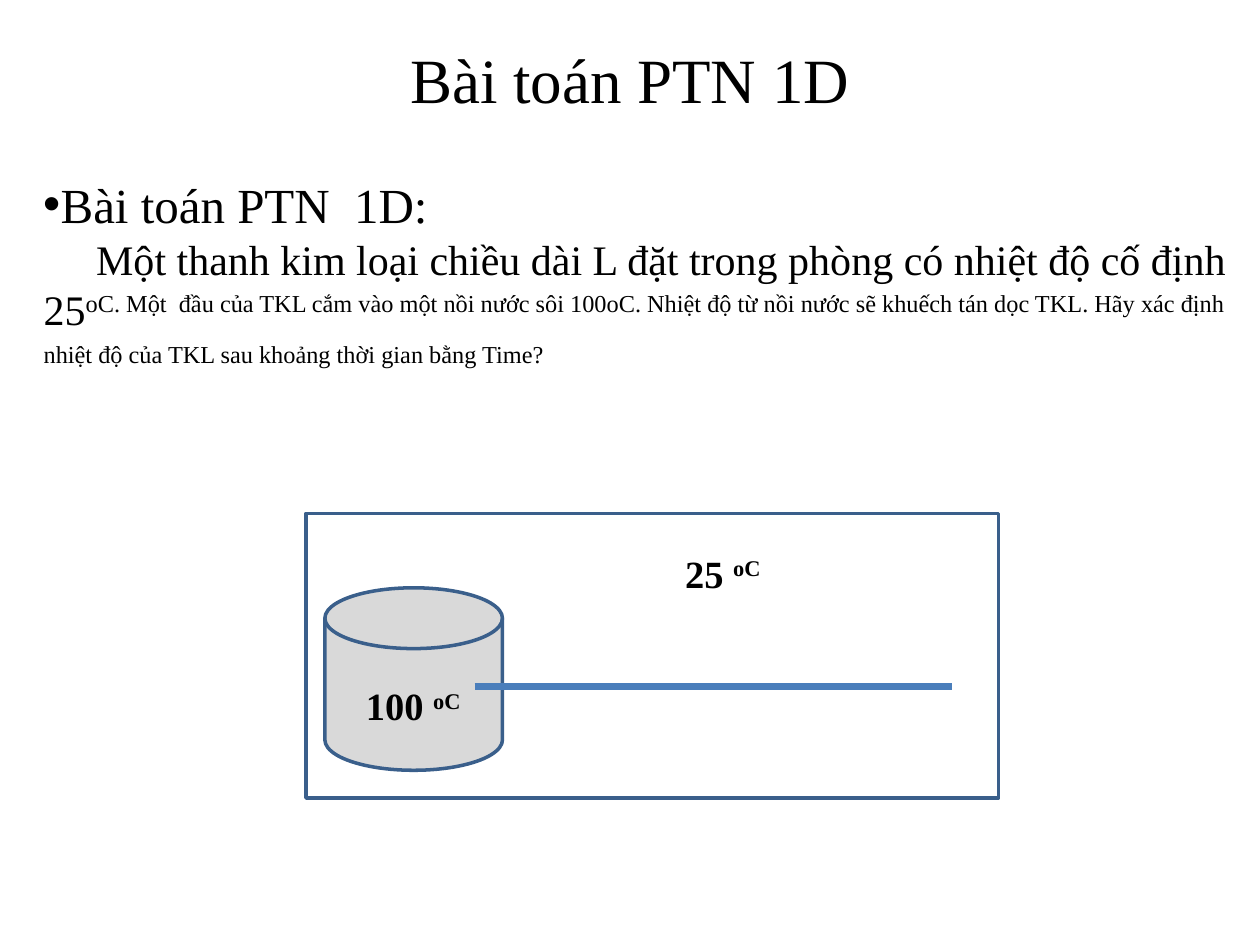
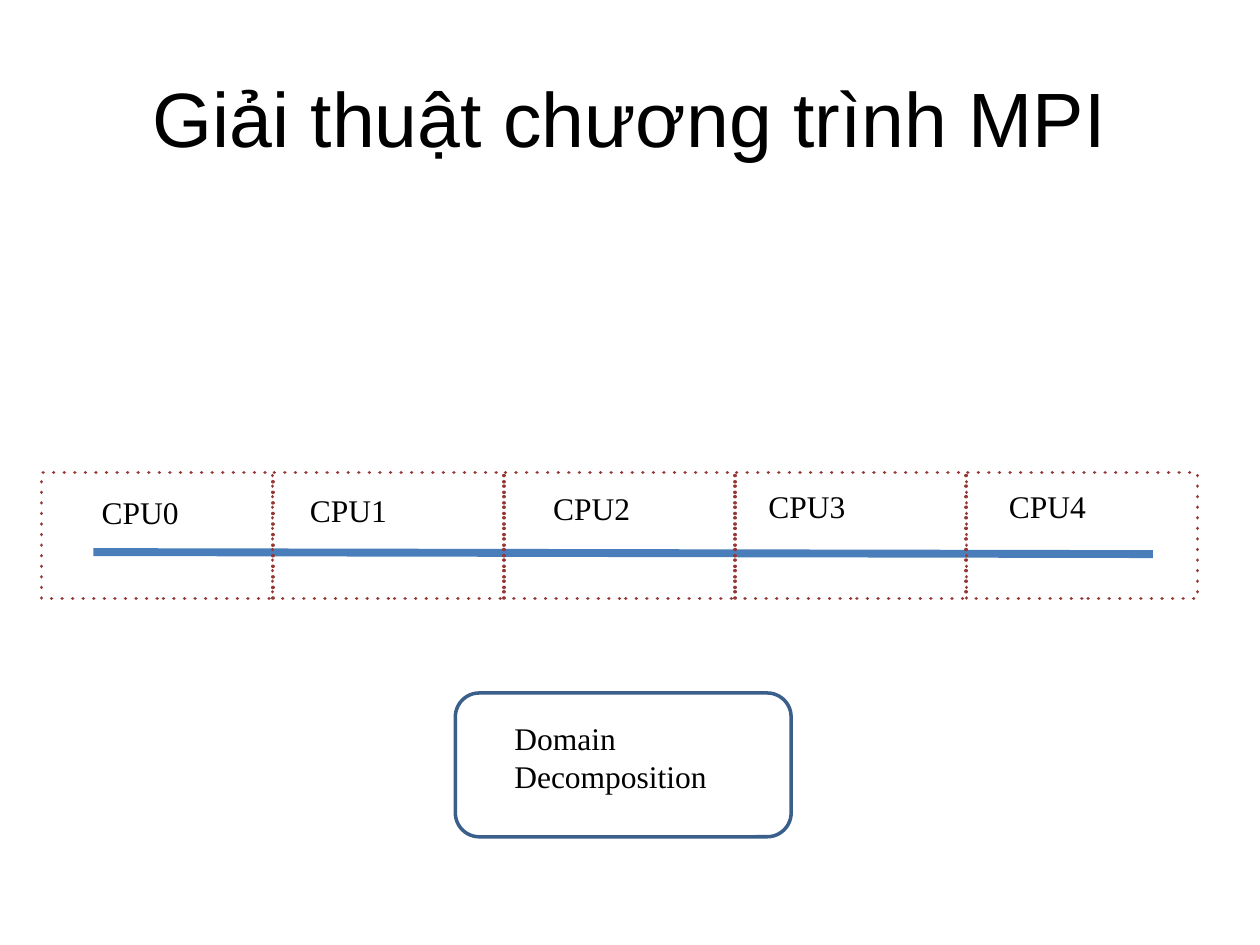
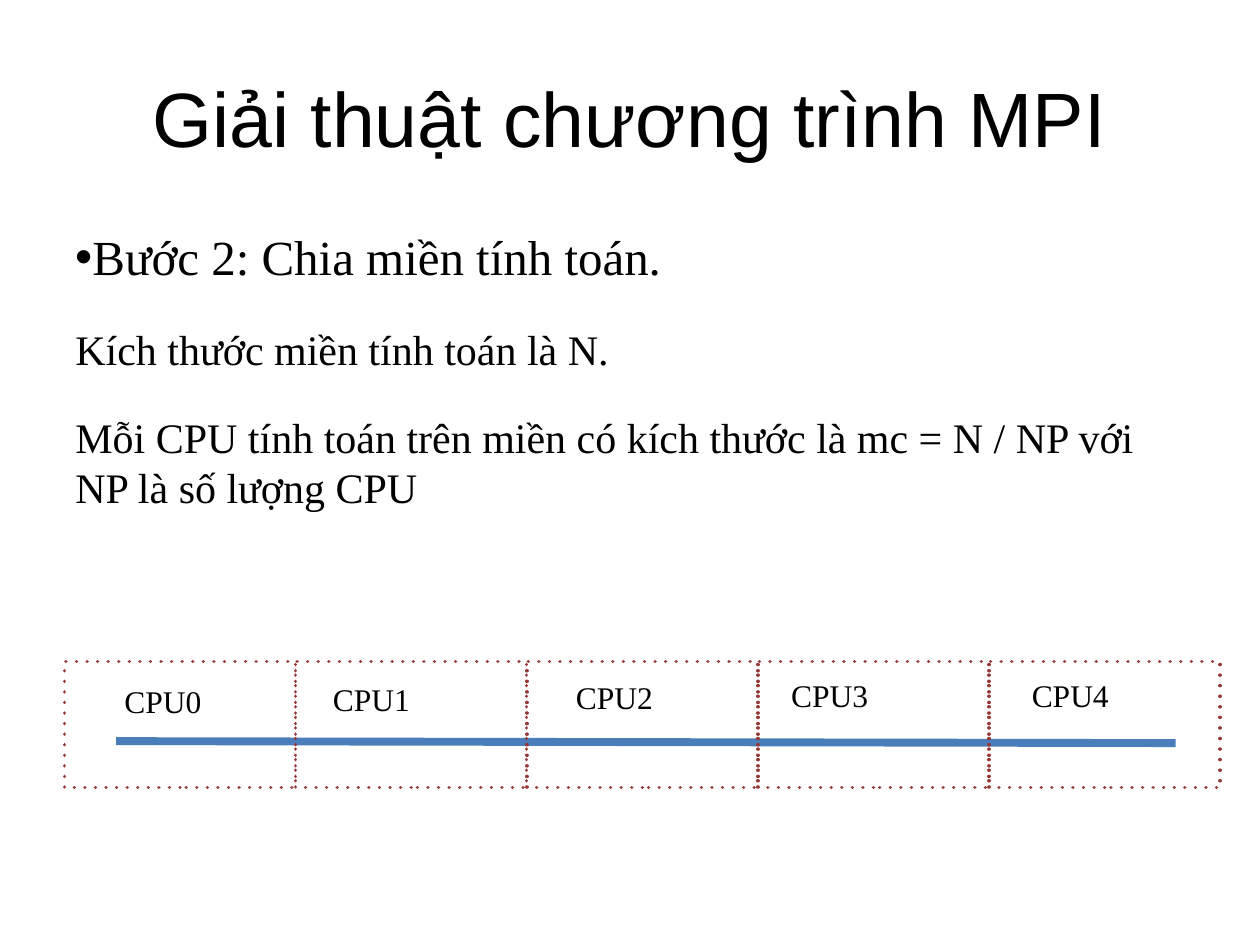
from dataclasses import dataclass
from typing import Optional

import pptx
import pptx.dml.color
import pptx.enum.shapes
import pptx.enum.text
import pptx.oxml.ns
import pptx.util
from lxml import etree
from pptx.util import Cm

RGBColor = pptx.dml.color.RGBColor
Shape = pptx.enum.shapes.MSO_SHAPE
Align = pptx.enum.text.PP_ALIGN
Anchor = pptx.enum.text.MSO_ANCHOR
qn = pptx.oxml.ns.qn

# Shared style
BLACK = RGBColor(0x00, 0x00, 0x00)
GREY = RGBColor(0xD9, 0xD9, 0xD9)
DARK_BLUE = RGBColor(0x3A, 0x5F, 0x8B)
ROD_BLUE = RGBColor(0x4A, 0x7E, 0xBB)
DARK_RED = RGBColor(0x95, 0x37, 0x35)
SERIF = "Times New Roman"
SANS = "Arial"
OUTLINE_WIDTH = 2
MPI_TITLE = "Giải thuật chương trình MPI"


@dataclass(frozen=True)
class Box:
    """A place on the slide, in centimetres."""
    left: float
    top: float
    width: float
    height: float

    def lengths(self) -> tuple:
        return Cm(self.left), Cm(self.top), Cm(self.width), Cm(self.height)


@dataclass(frozen=True)
class Line:
    """A paragraph; the raised text follows as superscript."""
    text: str
    size: float
    raised: str = ""
    bold: bool = False
    font: str = SERIF
    align: Optional[Align] = None
    bullet: bool = False
    indent: float = 0
    space_before: float = 0


@dataclass(frozen=True)
class Label:
    """A CPU label, placed relative to its strip."""
    left: float
    top: float


CPU_LABELS = (Label(0.96, 0.28), Label(5.16, 0.25), Label(10.06, 0.2),
              Label(14.4, 0.16), Label(19.25, 0.16))
CPU_WIDTH, CPU_HEIGHT = 4.66, 2.54


def add_text(slide, box: Box, *lines: Line, anchor: Anchor = Anchor.TOP) -> None:
    text_frame = slide.shapes.add_textbox(*box.lengths()).text_frame
    text_frame.word_wrap = True
    text_frame.vertical_anchor = anchor
    for index, line in enumerate(lines):
        paragraph = text_frame.add_paragraph() if index else text_frame.paragraphs[0]
        paragraph.text = line.text
        paragraph.alignment = line.align
        paragraph.space_before = pptx.util.Pt(line.space_before)
        if line.raised:
            raised_run = paragraph.add_run()
            raised_run.text = line.raised
            raised_run._r.get_or_add_rPr().set("baseline", "30000")
        for run in paragraph.runs:
            run.font.name = line.font
            run.font.size = pptx.util.Pt(line.size)
            run.font.bold = line.bold
            run.font.color.rgb = BLACK
        properties = paragraph._p.get_or_add_pPr()
        properties.set("marL", "0")
        properties.set("indent", str(Cm(line.indent)))
        if line.bullet:
            etree.SubElement(properties, qn("a:buFont")).set("typeface", SANS)
            etree.SubElement(properties, qn("a:buChar")).set("char", "•")


def add_title(slide, box: Box, text: str, size: float, font: str) -> None:
    add_text(slide, box, Line(text, size, font=font, align=Align.CENTER),
             anchor=Anchor.MIDDLE)


def add_outline(slide, kind: Shape, box: Box, color: RGBColor,
                fill: Optional[RGBColor] = None, dashed: bool = False) -> None:
    shape = slide.shapes.add_shape(kind, *box.lengths())
    shape.shadow.inherit = False
    if fill is None:
        shape.fill.background()
    else:
        shape.fill.solid()
        shape.fill.fore_color.rgb = fill
    shape.line.color.rgb = color
    shape.line.width = pptx.util.Pt(OUTLINE_WIDTH)
    if dashed:
        # Short dashes with round ends
        outline = shape.line._get_or_add_ln()
        outline.set("cap", "rnd")
        dashes = etree.SubElement(outline, qn("a:custDash"))
        etree.SubElement(dashes, qn("a:ds"), d="100000", sp="200000")
        etree.SubElement(outline, qn("a:round"))


def add_rod(slide, x1: float, y1: float, x2: float, y2: float, width: float) -> None:
    connector = slide.shapes.add_connector(
        pptx.enum.shapes.MSO_CONNECTOR.STRAIGHT, Cm(x1), Cm(y1), Cm(x2), Cm(y2))
    connector.line.color.rgb = ROD_BLUE
    connector.line.width = pptx.util.Pt(width)
    etree.SubElement(connector._element.spPr, qn("a:effectLst"))


def add_cpu_strip(slide, left: float, top: float) -> None:
    """The rod divided into one dashed cell per CPU."""
    add_rod(slide, left + 1.04, top + 1.6, left + 22.4, top + 1.64, 4.5)
    for index in range(len(CPU_LABELS)):
        cell = Box(left + index * CPU_WIDTH, top, CPU_WIDTH, CPU_HEIGHT)
        add_outline(slide, Shape.RECTANGLE, cell, DARK_RED, dashed=True)
    for index, label in enumerate(CPU_LABELS):
        add_text(slide, Box(left + label.left, top + label.top, 3.18, 1.02),
                 Line(f"CPU{index}", 18))


def add_temperature(slide, left: float, top: float, degrees: int) -> None:
    add_text(slide, Box(left, top, 2.82, 1.17),
             Line(f"{degrees} ", 22, raised="oC", bold=True, align=Align.CENTER))


def add_slide(presentation):
    return presentation.slides.add_slide(presentation.slide_layouts[6])


def add_mpi_slide(presentation):
    slide = add_slide(presentation)
    add_title(slide, Box(1.27, 0.76, 22.86, 3.18), MPI_TITLE, 44, SANS)
    return slide


def build_problem_slide(presentation) -> None:
    slide = add_slide(presentation)
    add_title(slide, Box(1.27, 0.2, 22.86, 2.74), "Bài toán PTN 1D", 36, SERIF)
    add_text(
        slide, Box(0.63, 3.39, 24.42, 14.6),
        Line("Bài toán PTN  1D:", 28, bullet=True, indent=-0.61),
        Line("Một thanh kim loại chiều dài L đặt trong phòng có nhiệt độ cố định 25", 24,
             raised="oC. Một  đầu của TKL cắm vào một nồi nước sôi 100oC. "
                    "Nhiệt độ từ nồi nước sẽ khuếch tán dọc TKL. Hãy xác định "
                    "nhiệt độ của TKL sau khoảng thời gian bằng Time?",
             indent=1.06))
    # Pot, metal rod and room
    add_outline(slide, Shape.FLOWCHART_MAGNETIC_DISK, Box(6.55, 11.85, 3.58, 3.68),
                DARK_BLUE, fill=GREY)
    add_rod(slide, 9.57, 13.83, 19.2, 13.83, 4)
    add_outline(slide, Shape.RECTANGLE, Box(6.17, 10.35, 13.96, 5.74), DARK_BLUE)
    add_temperature(slide, 6.92, 13.63, 100)
    add_temperature(slide, 13.16, 10.96, 25)


def build_decomposition_slide(presentation) -> None:
    slide = add_mpi_slide(presentation)
    add_cpu_strip(slide, 0.84, 9.53)
    add_text(slide, Box(10.12, 14.38, 4.75, 1.78), Line("Domain Decomposition", 18))
    add_outline(slide, Shape.ROUNDED_RECTANGLE, Box(9.18, 13.97, 6.77, 2.9), DARK_BLUE)


def build_step_slide(presentation) -> None:
    slide = add_mpi_slide(presentation)
    add_text(
        slide, Box(1.27, 4.45, 22.86, 12.57),
        Line("Bước 2: Chia miền tính toán.", 28, bullet=True, indent=-0.61),
        Line("Kích thước miền tính toán là N.", 24, space_before=21.5),
        Line("Mỗi CPU tính toán trên miền có kích thước là mc = N / NP với "
             "NP là số lượng CPU", 24, space_before=21.5))
    add_cpu_strip(slide, 1.3, 13.34)


def main() -> None:
    presentation = pptx.Presentation()
    presentation.slide_width = Cm(25.4)
    presentation.slide_height = Cm(19.05)
    build_problem_slide(presentation)
    build_decomposition_slide(presentation)
    build_step_slide(presentation)
    presentation.save("out.pptx")


main()
